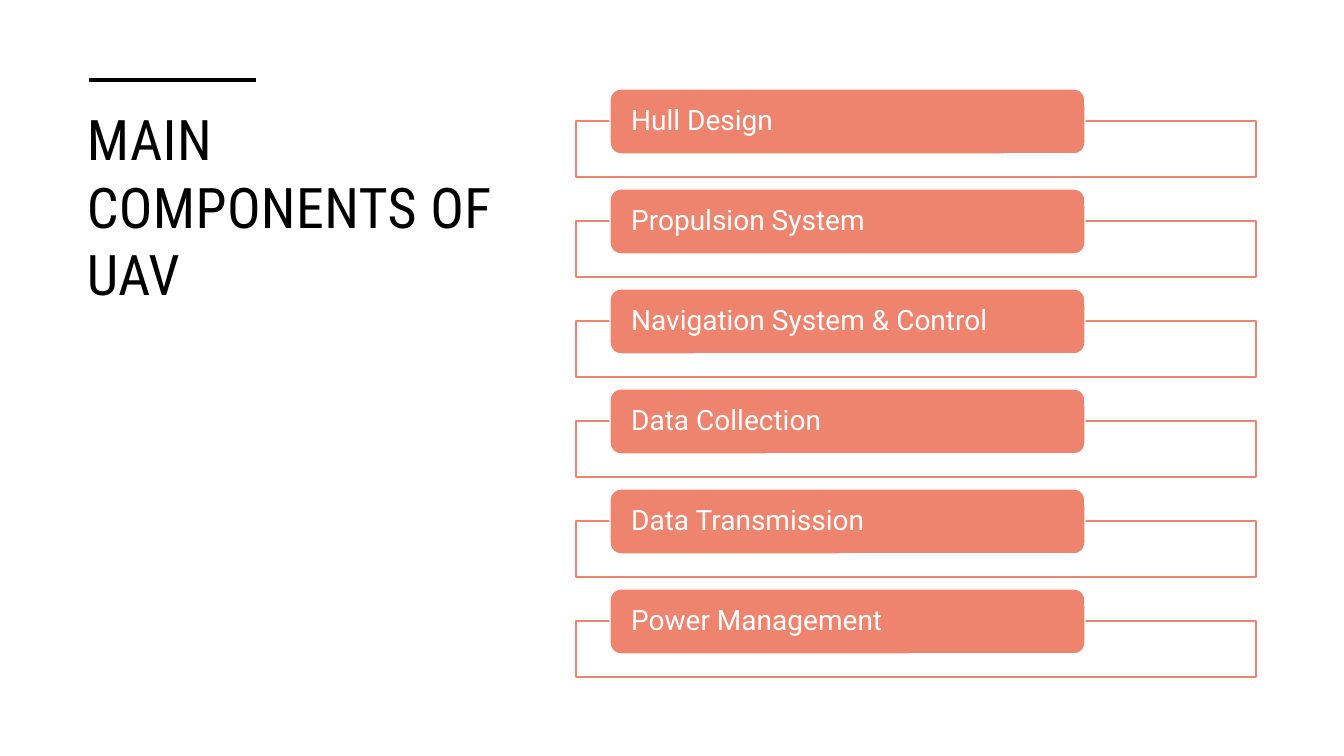
"""Build the slide that lists the main components of a UAV."""
from dataclasses import dataclass

from lxml import etree
from pptx import Presentation
from pptx.dml.color import RGBColor
from pptx.enum.shapes import MSO_CONNECTOR, MSO_SHAPE
from pptx.enum.text import MSO_ANCHOR, PP_ALIGN
from pptx.oxml.ns import qn
from pptx.shapes.autoshape import Shape
from pptx.slide import Slide
from pptx.util import Emu, Pt

STRAIGHT = MSO_CONNECTOR.STRAIGHT
RECTANGLE = MSO_SHAPE.RECTANGLE
ROUNDED = MSO_SHAPE.ROUNDED_RECTANGLE
MIDDLE = MSO_ANCHOR.MIDDLE
LEFT = PP_ALIGN.LEFT

BLACK = RGBColor(0x00, 0x00, 0x00)
WHITE = RGBColor(0xFF, 0xFF, 0xFF)
CORAL = RGBColor(0xEE, 0x83, 0x6E)

PX_PER_INCH = 100.8
ROW_PITCH = 100
COMPONENTS = (
    "Hull Design",
    "Propulsion System",
    "Navigation System & Control",
    "Data Collection",
    "Data Transmission",
    "Power Management",
)


@dataclass(frozen=True)
class Area:
    """A rectangle on the slide, in px."""
    left: int
    top: int
    width: int
    height: int

    def moved_down(self, distance: int) -> "Area":
        """Return the same area, lower on the slide."""
        return Area(self.left, self.top + distance, self.width, self.height)

    def emu(self) -> tuple[Emu, Emu, Emu, Emu]:
        """Return left, top, width and height as EMU."""
        return px(self.left), px(self.top), px(self.width), px(self.height)


TITLE = Area(77, 100, 431, 438)
RULE = Area(89, 80, 167, 0)
FRAME = Area(576, 121, 680, 56)
BAR = Area(610, 89, 475, 65)


def px(length: int) -> Emu:
    """Turn px into EMU."""
    return Emu(round(length * 914400 / PX_PER_INCH))


def add_title(page: Slide, text: str) -> None:
    """Add the slightly letter-spaced title."""
    box = page.shapes.add_textbox(*TITLE.emu())
    box.text_frame.word_wrap = True
    para = box.text_frame.paragraphs[0]
    span = para.add_run()
    span.text = text
    para.font.name = "Roboto Condensed"
    para.font.size = Pt(40)
    para.font.color.rgb = BLACK
    span.font._element.set("spc", "30")


def add_rule(page: Slide) -> None:
    """Add the thick line above the title."""
    left, top, width, _ = RULE.emu()
    rule = page.shapes.add_connector(STRAIGHT, left, top, left + width, top)
    rule.line.color.rgb = BLACK
    rule.line.width = Pt(3.5)
    etree.SubElement(rule._element.spPr, qn("a:effectLst"))


def add_panel(page: Slide, kind: MSO_SHAPE, area: Area,
              fill: RGBColor, line: RGBColor) -> Shape:
    """Add a filled shape with a one-point outline."""
    panel = page.shapes.add_shape(kind, *area.emu())
    panel.shadow.inherit = False
    panel.fill.solid()
    panel.fill.fore_color.rgb = fill
    panel.line.color.rgb = line
    panel.line.width = Pt(1)
    return panel


def add_component(page: Slide, row: int, name: str) -> None:
    """Add one row: a translucent frame with a named bar on its top edge."""
    offset = row * ROW_PITCH
    frame = add_panel(page, RECTANGLE, FRAME.moved_down(offset), WHITE, CORAL)
    color = frame._element.spPr.find(f"{qn('a:solidFill')}/{qn('a:srgbClr')}")
    etree.SubElement(color, qn("a:alpha"), val="90000")

    bar = add_panel(page, ROUNDED, BAR.moved_down(offset), CORAL, WHITE)
    text = bar.text_frame
    text.word_wrap = True
    text.vertical_anchor = MIDDLE
    text.margin_left = text.margin_right = px(18)
    text.margin_top = text.margin_bottom = 0
    para = text.paragraphs[0]
    para.text = name
    para.alignment = LEFT
    para.line_spacing = 0.9
    para.font.name = "Roboto"
    para.font.size = Pt(20)
    para.font.color.rgb = WHITE


def main() -> None:
    """Build and save the deck."""
    deck = Presentation()
    deck.slide_width, deck.slide_height = px(1344), px(756)
    page = deck.slides.add_slide(deck.slide_layouts[6])
    add_title(page, "MAIN COMPONENTS OF UAV")
    add_rule(page)
    for row, name in enumerate(COMPONENTS):
        add_component(page, row, name)
    deck.save("out.pptx")


if __name__ == "__main__":
    main()
